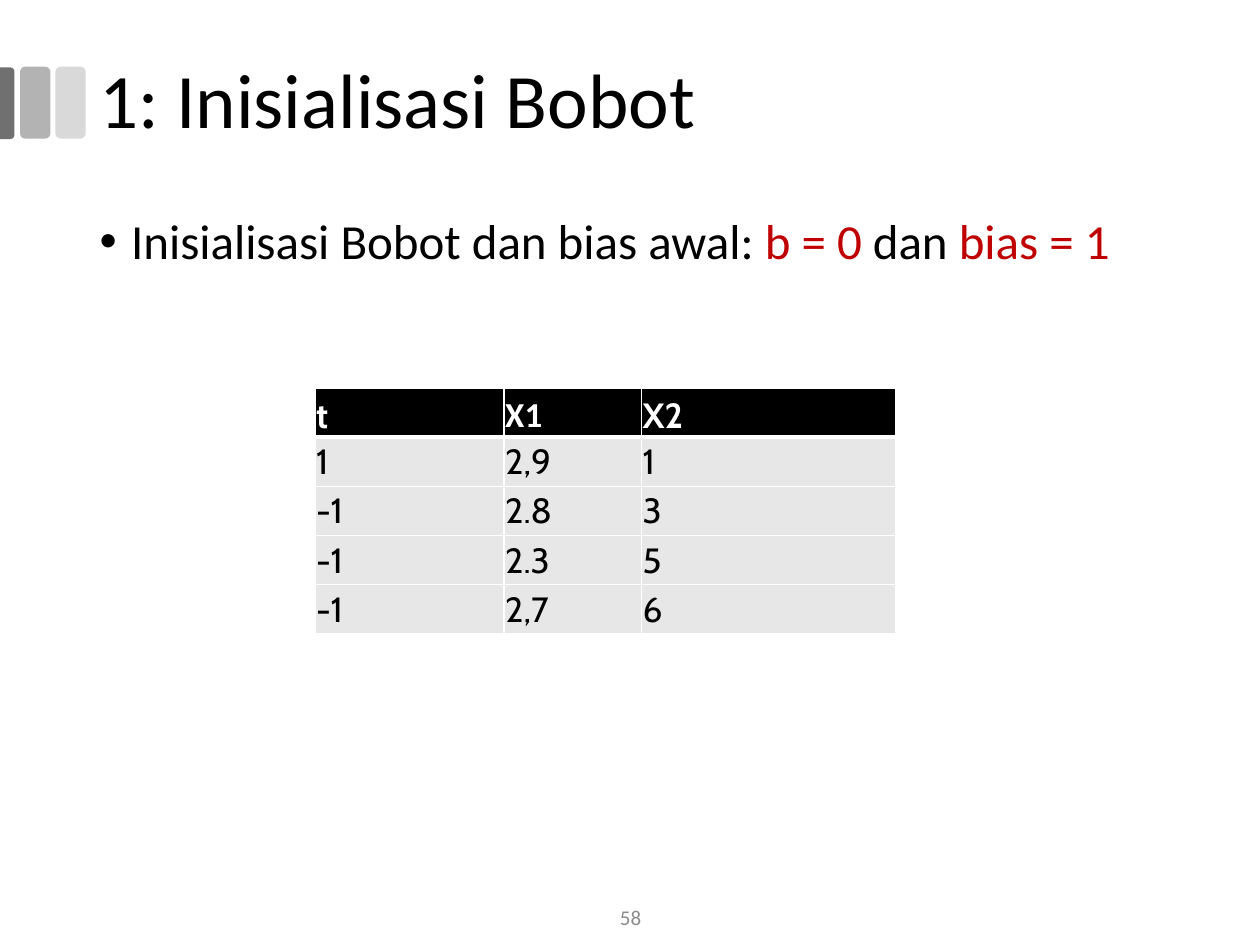
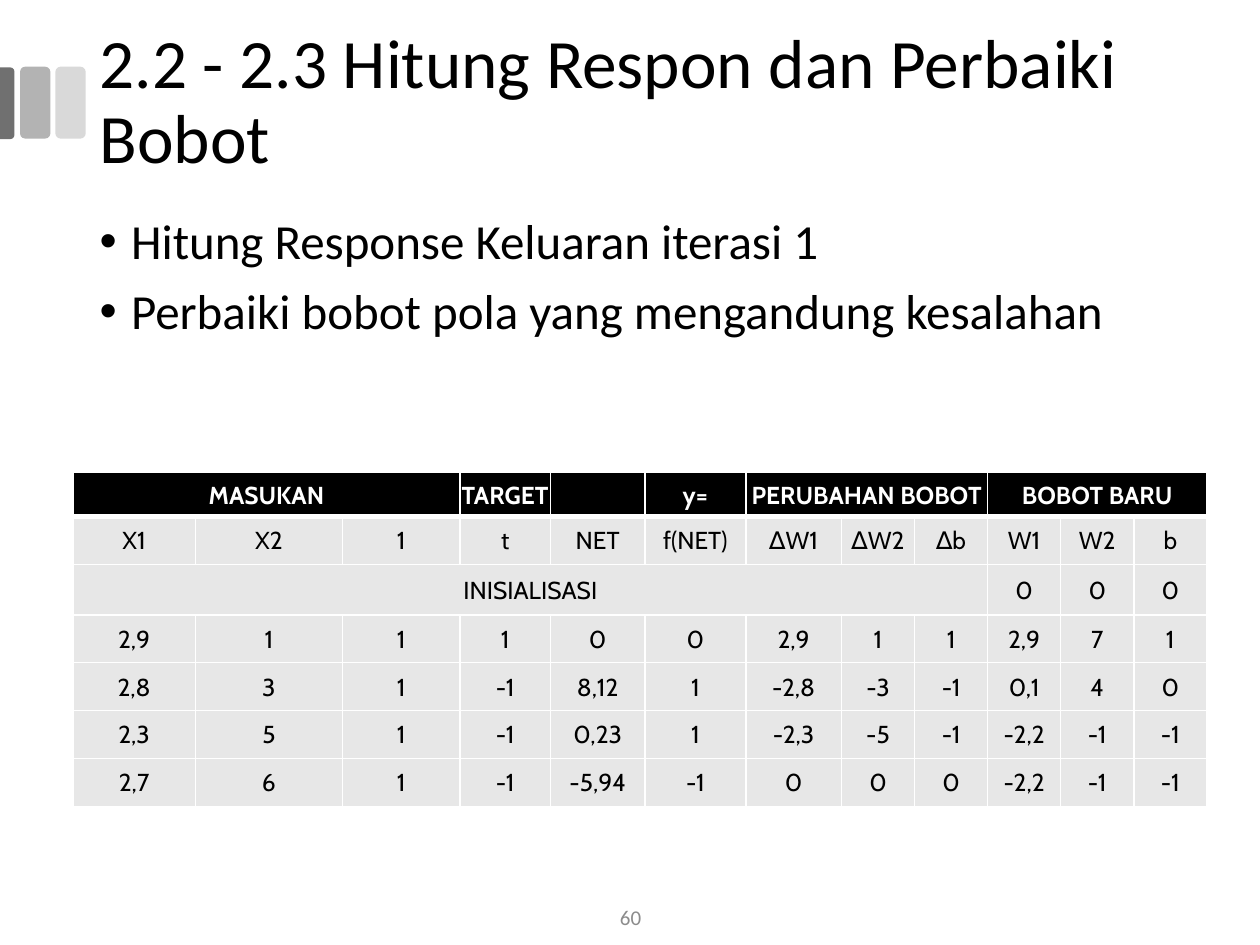
from lxml import etree
from pptx import Presentation
from pptx.dml.color import RGBColor
from pptx.enum.shapes import MSO_SHAPE
from pptx.enum.text import MSO_ANCHOR, MSO_AUTO_SIZE, PP_ALIGN
from pptx.oxml.ns import qn
from pptx.util import Inches, Pt

BLACK = RGBColor(0x00, 0x00, 0x00)
WHITE = RGBColor(0xFF, 0xFF, 0xFF)
RED = RGBColor(0xC0, 0x00, 0x00)
CELL_GRAY = RGBColor(0xE7, 0xE7, 0xE7)
NUMBER_GRAY = RGBColor(0x8C, 0x8C, 0x8C)
LIGHT_BAR = RGBColor(0xD9, 0xD9, 0xD9)
MIDDLE_BAR = RGBColor(0xB3, 0xB3, 0xB3)
DARK_BAR = RGBColor(0x70, 0x70, 0x70)

TEXT_FONT = "Calibri"
TABLE_FONT = "Cabin"

LEFT = PP_ALIGN.LEFT
CENTER = PP_ALIGN.CENTER
TOP = MSO_ANCHOR.TOP
MIDDLE = MSO_ANCHOR.MIDDLE
BOTTOM = MSO_ANCHOR.BOTTOM
NO_AUTOFIT = MSO_AUTO_SIZE.NONE
ROUNDED = MSO_SHAPE.ROUNDED_RECTANGLE
ROUNDED_TOP = MSO_SHAPE.ROUND_2_SAME_RECTANGLE


def write_text(paragraph, text, size, font=TEXT_FONT, color=BLACK, bold=False,
               align=LEFT, line_spacing=None):
    paragraph.alignment = align
    if line_spacing:
        paragraph.line_spacing = line_spacing
    run = paragraph.add_run()
    run.text = text
    run.font.size = Pt(size)
    run.font.name = font
    run.font.bold = bold
    run.font.color.rgb = color


def place(shape, left, top, width, height, anchor):
    shape.left, shape.top = Inches(left), Inches(top)
    shape.width, shape.height = Inches(width), Inches(height)
    frame = shape.text_frame
    frame.word_wrap = True
    frame.auto_size = NO_AUTOFIT
    frame.vertical_anchor = anchor
    return frame


def add_bar(slide, kind, left, top, width, height, color):
    bar = slide.shapes.add_shape(kind, Inches(left), Inches(top),
                                 Inches(width), Inches(height))
    bar.shadow.inherit = False
    bar.fill.solid()
    bar.fill.fore_color.rgb = color
    bar.line.fill.background()
    return bar


def add_title_bars(slide):
    for left, color in ((0.44, LIGHT_BAR), (0.16, MIDDLE_BAR)):
        add_bar(slide, ROUNDED, left, 0.53, 0.24, 0.57, color)
    edge_bar = add_bar(slide, ROUNDED_TOP, -0.23, 0.76, 0.57, 0.12, DARK_BAR)
    edge_bar.adjustments[0] = 0.29
    edge_bar.rotation = 90


def set_bullet(paragraph):
    paragraph.space_before = Pt(10)
    properties = paragraph._p.get_or_add_pPr()
    properties.set("marL", str(Inches(0.25)))
    properties.set("indent", str(Inches(-0.25)))
    etree.SubElement(properties, qn("a:buFont"), typeface="Arial")
    etree.SubElement(properties, qn("a:buChar"), char="•")


def add_slide(deck, title, title_size, title_width, points, body_width, number):
    slide = deck.slides.add_slide(deck.slide_layouts[1])
    add_title_bars(slide)

    heading = place(slide.shapes.title, 0.69, 0.17, title_width, 1.31, MIDDLE)
    write_text(heading.paragraphs[0], title, title_size, line_spacing=0.9)

    body = place(slide.placeholders[1], 0.69, 1.67, body_width, 5.08, TOP)
    for index, point in enumerate(points):
        paragraph = body.add_paragraph() if index else body.paragraphs[0]
        for text, color in point:
            write_text(paragraph, text, 28, color=color, line_spacing=0.9)
        set_bullet(paragraph)

    footer = place(slide.shapes.add_textbox(0, 0, 0, 0),
                   3.88, 7.08, 2.25, 0.4, MIDDLE)
    write_text(footer.paragraphs[0], number, 12, color=NUMBER_GRAY, align=CENTER)
    return slide


def set_borders(cell, top, bottom):
    properties = cell._tc.get_or_add_tcPr()
    for side, width in (("L", 1), ("R", 1), ("T", top), ("B", bottom)):
        line = etree.SubElement(properties, qn(f"a:ln{side}"), w=str(Pt(width)))
        fill = etree.SubElement(line, qn("a:solidFill"))
        etree.SubElement(fill, qn("a:srgbClr"), val=str(WHITE))


def add_data_table(slide, left, top, columns, heights, rows, size, align,
                   header_anchor, header_fonts):
    table = slide.shapes.add_table(
        len(rows), len(columns), Inches(left), Inches(top),
        Inches(sum(columns)), Inches(sum(heights))).table
    table.first_row = table.horz_banding = False
    for column, width in zip(table.columns, columns):
        column.width = Inches(width)
    for row, height in zip(table.rows, heights):
        row.height = Inches(height)

    for r, texts in enumerate(rows):
        header = r == 0
        start = 0
        for c, text in enumerate(texts):
            cell = table.cell(r, c)
            set_borders(cell, 3 if r == 1 else 1, 3 if header else 1)
            cell.fill.solid()
            cell.fill.fore_color.rgb = BLACK if header else CELL_GRAY
            cell.margin_left = cell.margin_right = cell.margin_top = Inches(0.01)
            cell.margin_bottom = 0
            cell.vertical_anchor = header_anchor if header else MIDDLE
            if text is not None:
                start = c
            elif c + 1 == len(texts) or texts[c + 1] is not None:
                table.cell(r, start).merge(cell)
            if text:
                font = header_fonts.get(c, TABLE_FONT) if header else TABLE_FONT
                write_text(cell.text_frame.paragraphs[0], text, size, font=font,
                           color=WHITE if header else BLACK, bold=header,
                           align=align)


def main():
    deck = Presentation()
    deck.slide_width, deck.slide_height = Inches(10), Inches(7.5)

    initial = add_slide(
        deck, "1: Inisialisasi Bobot", 44, 8.62,
        [[("Inisialisasi Bobot dan bias awal: ", BLACK), ("b = 0 ", RED),
          ("dan ", BLACK), ("bias = 1", RED)]],
        8.62, "58")
    patterns = [
        ["t", "X1", "X2"],
        ["1", "2,9", "1"],
        ["-1", "2.8", "3"],
        ["-1", "2.3", "5"],
        ["-1", "2,7", "6"],
    ]
    add_data_table(initial, 2.5, 3.08, [1.5, 1.09, 2.02], [0.39] * 5, patterns,
                   20, LEFT, BOTTOM, {1: TEXT_FONT})

    response = add_slide(
        deck, "2.2 - 2.3 Hitung Respon dan Perbaiki Bobot", 39.6, 8.98,
        [[("Hitung Response Keluaran iterasi 1", BLACK)],
         [("Perbaiki bobot pola yang mengandung kesalahan", BLACK)]],
        8.81, "60")
    iteration = [
        ["MASUKAN", None, None, "TARGET", "", "y=",
         "PERUBAHAN BOBOT", None, None, "BOBOT BARU", None, None],
        ["X1", "X2", "1", "t", "NET", "f(NET)",
         "∆W1", "∆W2", "∆b", "W1", "W2", "b"],
        ["INISIALISASI"] + [None] * 8 + ["0"] * 3,
        ["2,9", "1", "1", "1", "0", "0", "2,9", "1", "1", "2,9", "7", "1"],
        ["2,8", "3", "1", "-1", "8,12", "1", "-2,8", "-3", "-1", "0,1", "4", "0"],
        ["2,3", "5", "1", "-1", "0,23", "1", "-2,3", "-5", "-1", "-2,2", "-1", "-1"],
        ["2,7", "6", "1", "-1", "-5,94", "-1", "0", "0", "0", "-2,2", "-1", "-1"],
    ]
    add_data_table(response, 0.58, 3.75,
                   [0.97, 1.17, 0.93, 0.72, 0.75, 0.8, 0.76] + [0.58] * 5,
                   [0.35, 0.38, 0.4] + [0.38] * 4, iteration,
                   14, CENTER, MIDDLE, {})

    deck.save("out.pptx")


if __name__ == "__main__":
    main()
